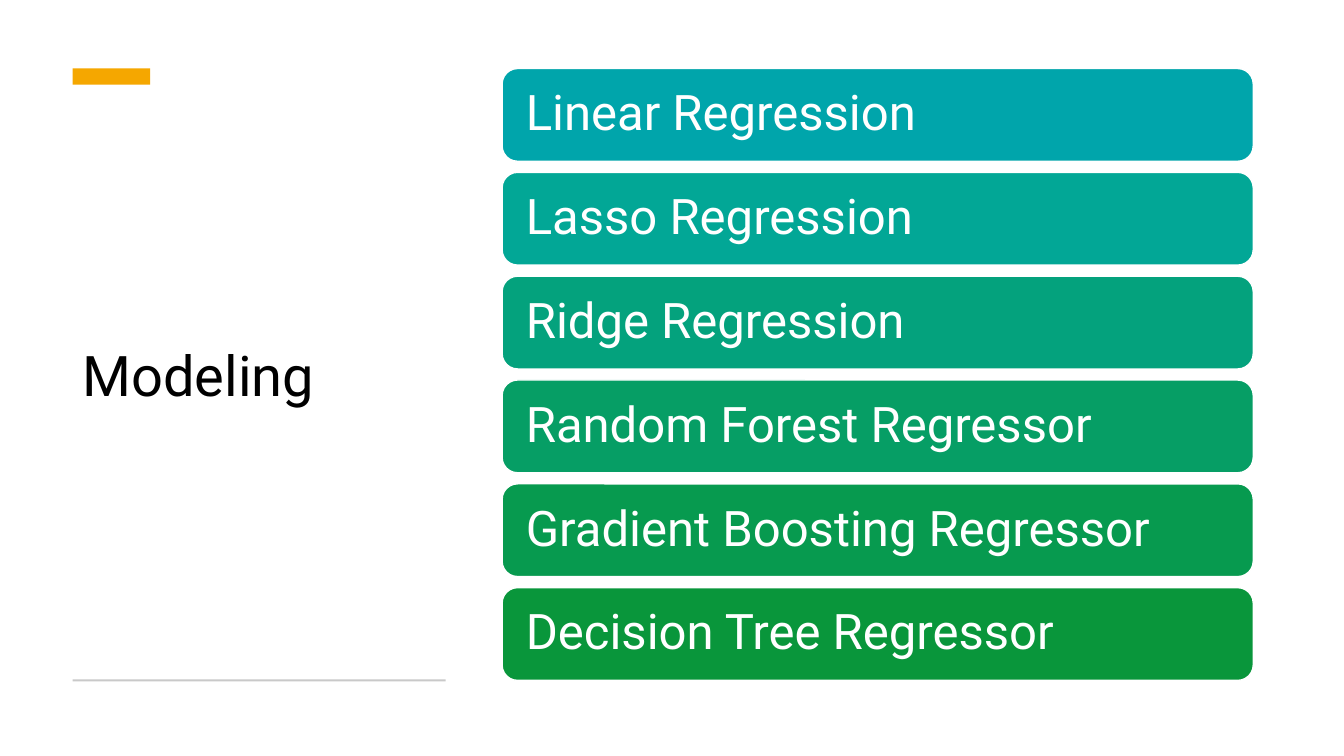
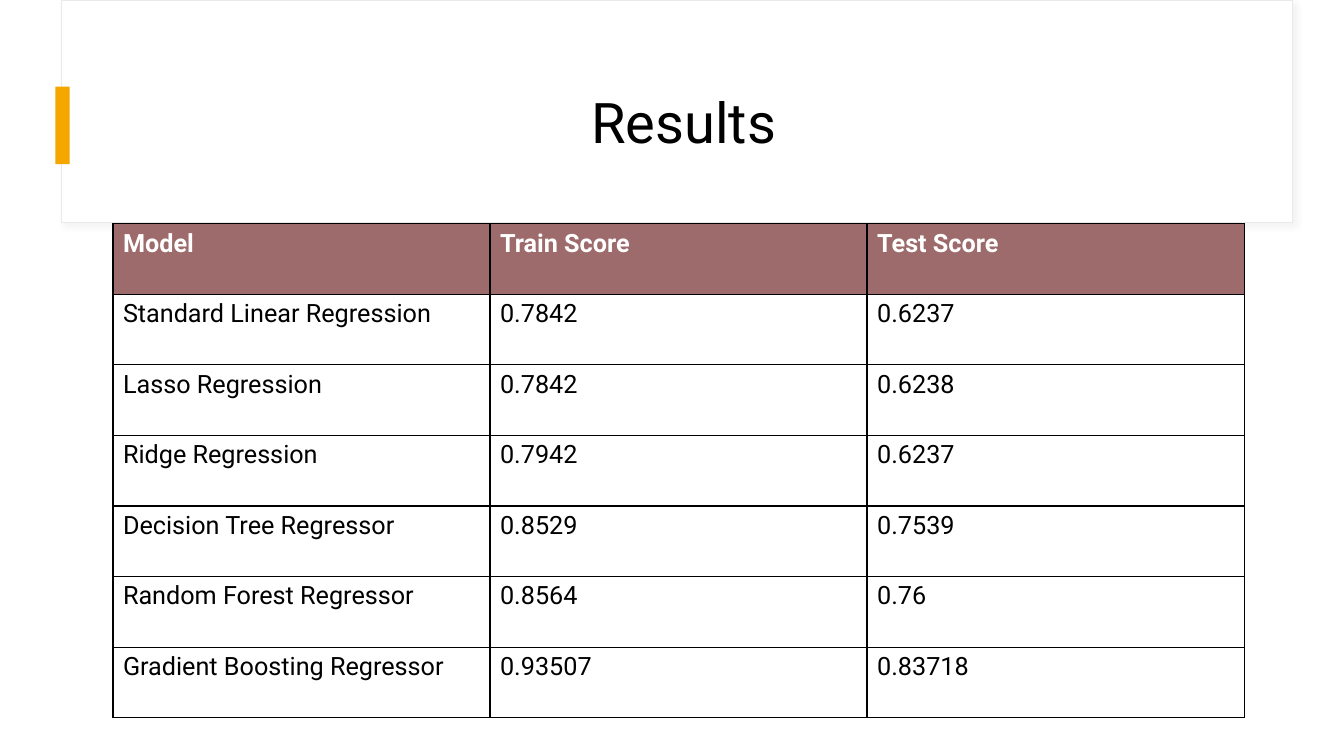
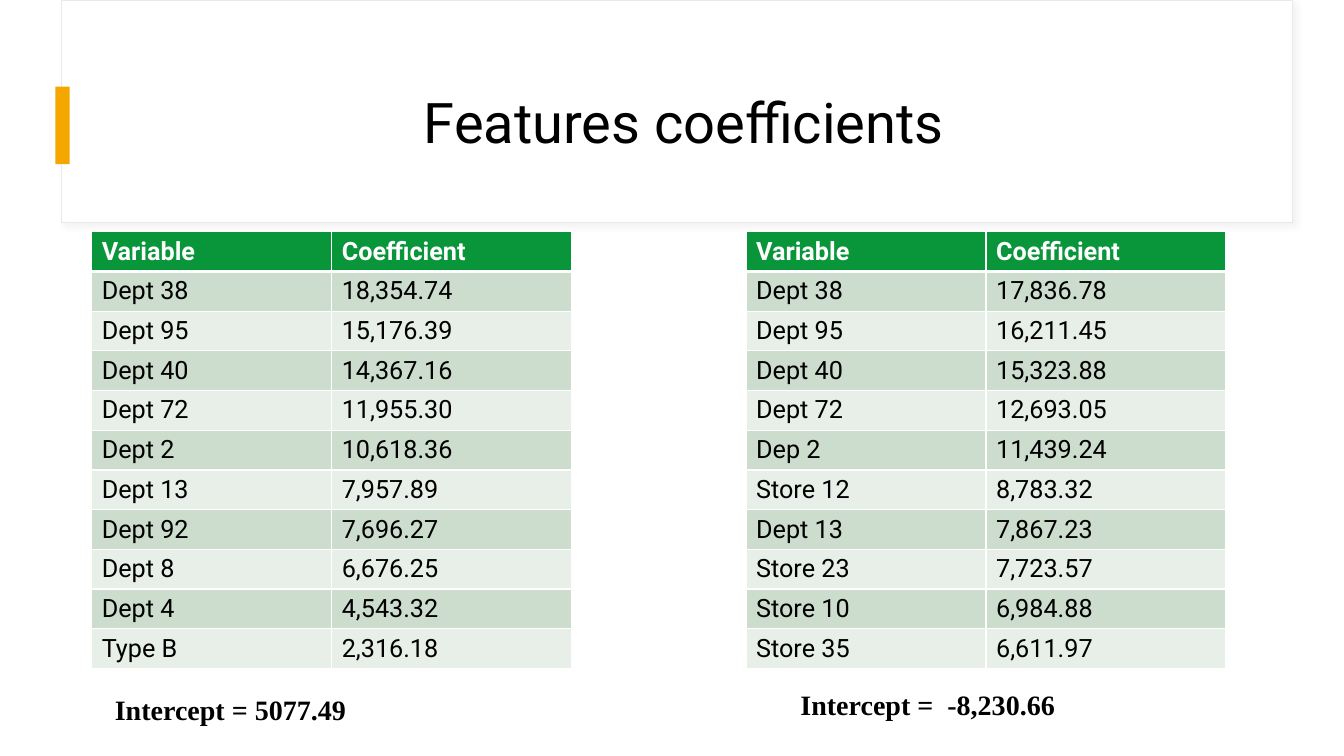
from lxml import etree
from pptx import Presentation
from pptx.dml.color import RGBColor
from pptx.enum.shapes import MSO_SHAPE as Preset
from pptx.enum.text import MSO_ANCHOR as Anchor, MSO_AUTO_SIZE as AutoSize, PP_ALIGN as Align
from pptx.oxml import parse_xml
from pptx.oxml.ns import nsdecls, qn
from pptx.util import Inches, Pt

COLORS = {
    "white": "FFFFFF",
    "black": "000000",
    "amber": "F5A700",
    "rule": "C9C9C9",
    "band_edge": "E9E9E9",
    "band_shadow": "D9D9D9",
    "rose": "9D6B6B",
    "green": "09963B",
    "green_mid": "CCDDCE",
    "green_pale": "E7EFE8",
}
FONT = "Roboto"
NOTE_FONT = "Times New Roman"

MODELS = [
    ("Linear Regression", "00A5AB"),
    ("Lasso Regression", "02A796"),
    ("Ridge Regression", "04A27D"),
    ("Random Forest Regressor", "069E65"),
    ("Gradient Boosting Regressor", "079A4F"),
    ("Decision Tree Regressor", "09963B"),
]
SCORES = [
    ("Model", "Train Score", "Test Score"),
    ("Standard Linear Regression", "0.7842", "0.6237"),
    ("Lasso Regression", "0.7842", "0.6238"),
    ("Ridge Regression", "0.7942", "0.6237"),
    ("Decision Tree Regressor", "0.8529", "0.7539"),
    ("Random Forest Regressor", "0.8564", "0.76"),
    ("Gradient Boosting Regressor", "0.93507", "0.83718"),
]
COEFFICIENT_HEAD = ("Variable", "Coefficient")
LEFT_COEFFICIENTS = [
    COEFFICIENT_HEAD,
    ("Dept 38", "18,354.74"),
    ("Dept 95", "15,176.39"),
    ("Dept 40", "14,367.16"),
    ("Dept 72", "11,955.30"),
    ("Dept 2", "10,618.36"),
    ("Dept 13", "7,957.89"),
    ("Dept 92", "7,696.27"),
    ("Dept 8", "6,676.25"),
    ("Dept 4", "4,543.32"),
    ("Type B", "2,316.18"),
]
RIGHT_COEFFICIENTS = [
    COEFFICIENT_HEAD,
    ("Dept 38", "17,836.78"),
    ("Dept 95", "16,211.45"),
    ("Dept 40", "15,323.88"),
    ("Dept 72", "12,693.05"),
    ("Dep 2", "11,439.24"),
    ("Store 12", "8,783.32"),
    ("Dept 13", "7,867.23"),
    ("Store 23", "7,723.57"),
    ("Store 10", "6,984.88"),
    ("Store 35", "6,611.97"),
]


def rgb(color):
    return RGBColor.from_string(COLORS.get(color, color))


def style_text(frame, size, color, font=FONT, bold=False, align=Align.LEFT, spacing=None):
    for para in frame.paragraphs:
        para.alignment = align
        if spacing:
            para.line_spacing = spacing
        for span in para.runs:
            span.font.size = Pt(size)
            span.font.name = font
            span.font.bold = bold
            span.font.color.rgb = rgb(color)


def add_block(page, left, top, width, height, fill, line=None, weight=1, preset=Preset.RECTANGLE):
    block = page.shapes.add_shape(preset, Inches(left), Inches(top), Inches(width), Inches(height))
    block.shadow.inherit = False
    block.fill.solid()
    block.fill.fore_color.rgb = rgb(fill)
    if line:
        block.line.color.rgb = rgb(line)
        block.line.width = Pt(weight)
    else:
        block.line.fill.background()
    return block


def add_shadow(block):
    effects = block.element.spPr.find(qn("a:effectLst"))
    effects.append(parse_xml(
        f'<a:outerShdw {nsdecls("a")} blurRad="{Pt(4)}" dist="{Pt(3)}" dir="2700000" algn="tl">'
        f'<a:srgbClr val="{COLORS["band_shadow"]}"><a:alpha val="30000"/></a:srgbClr></a:outerShdw>'))


def set_title(page, text, left, top, width, height, align):
    title = page.shapes.title
    title.left, title.top, title.width, title.height = map(Inches, (left, top, width, height))
    frame = title.text_frame
    frame.text = text
    frame.word_wrap = True
    frame.auto_size = AutoSize.NONE
    frame.vertical_anchor = Anchor.MIDDLE
    style_text(frame, 40, "black", align=align, spacing=0.9)
    title.element.getparent().append(title.element)


def add_page(deck):
    return deck.slides.add_slide(deck.slide_layouts.get_by_name("Title Only"))


def add_banded_page(deck, text):
    page = add_page(deck)
    band = add_block(page, 0.61, 0, 12.21, 2.21, "white", "band_edge", 0.75)
    add_shadow(band)
    add_block(page, 0.55, 0.86, 0.14, 0.77, "amber")
    set_title(page, text, 1.22, 0.6, 11.12, 1.29, Align.CENTER)
    return page


def add_model_bar(page, top, text, fill):
    bar = add_block(page, 4.98, top, 7.45, 0.92, fill, "white", preset=Preset.ROUNDED_RECTANGLE)
    frame = bar.text_frame
    frame.text = text
    frame.word_wrap = True
    frame.margin_left = frame.margin_right = Inches(0.19)
    frame.vertical_anchor = Anchor.MIDDLE
    style_text(frame, 35, "white", spacing=0.9)


def add_border(cell, edge, color, weight):
    properties = cell._tc.get_or_add_tcPr()
    line = etree.SubElement(properties, qn(f"a:{edge}"), w=str(Pt(weight)))
    fill = etree.SubElement(line, qn("a:solidFill"))
    etree.SubElement(fill, qn("a:srgbClr"), val=COLORS[color])


def add_grid(page, left, top, column_width, row_height, rows, head, bands, border, head_rule=1):
    count = len(rows[0])
    grid = page.shapes.add_table(
        len(rows), count, Inches(left), Inches(top),
        Inches(column_width * count), Inches(row_height * len(rows))).table
    grid.first_row = grid.horz_banding = False
    for column in grid.columns:
        column.width = Inches(column_width)
    for index, values in enumerate(rows):
        grid.rows[index].height = Inches(row_height)
        is_head = index == 0
        fill = head if is_head else bands[(index - 1) % len(bands)]
        for cell, value in zip(grid.rows[index].cells, values):
            cell.text = value
            style_text(cell.text_frame, 18, "white" if is_head else "black", bold=is_head)
            for edge in ("lnL", "lnR", "lnT", "lnB"):
                under_head = (index, edge) in ((0, "lnB"), (1, "lnT"))
                add_border(cell, edge, border, head_rule if under_head else 1)
            cell.fill.solid()
            cell.fill.fore_color.rgb = rgb(fill)


def add_note(page, left, top, width, text):
    box = page.shapes.add_textbox(Inches(left), Inches(top), Inches(width), Inches(0.44))
    frame = box.text_frame
    frame.word_wrap = True
    frame.text = text
    style_text(frame, 20, "black", font=NOTE_FONT, bold=True)


def build_modeling(deck):
    page = add_page(deck)
    set_title(page, "Modeling", 0.72, 1.05, 3.7, 5.41, Align.LEFT)
    add_block(page, 0.72, 0.68, 0.77, 0.16, "amber")
    add_block(page, 0.72, 6.74, 3.7, 0.02, "rule")
    for index, (name, fill) in enumerate(MODELS):
        add_model_bar(page, 0.68 + 1.03 * index, name, fill)


def build_results(deck):
    page = add_banded_page(deck, "Results")
    add_grid(page, 1.12, 2.22, 3.74, 0.7, SCORES, "rose", ["white"], "black")


def build_coefficients(deck):
    page = add_banded_page(deck, "Features coefficients")
    for left, rows in ((0.91, LEFT_COEFFICIENTS), (7.4, RIGHT_COEFFICIENTS)):
        add_grid(page, left, 2.3, 2.38, 0.39, rows, "green",
                 ["green_mid", "green_pale"], "white", head_rule=3)
    add_note(page, 7.84, 6.77, 3.46, "Intercept =  -8,230.66")
    add_note(page, 1.04, 6.82, 4.45, "Intercept = 5077.49")


def main():
    deck = Presentation()
    deck.slide_width, deck.slide_height = Inches(13.33), Inches(7.5)
    build_modeling(deck)
    build_results(deck)
    build_coefficients(deck)
    deck.save("out.pptx")


if __name__ == "__main__":
    main()
